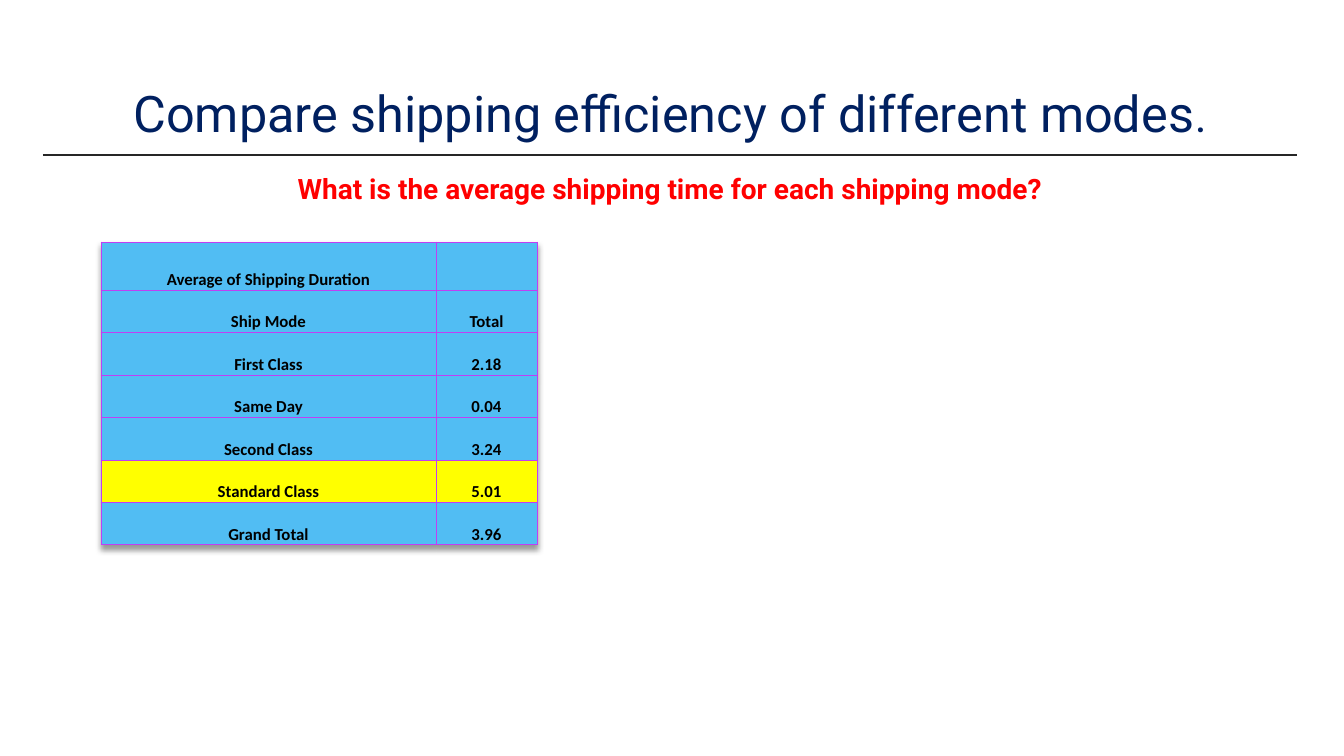
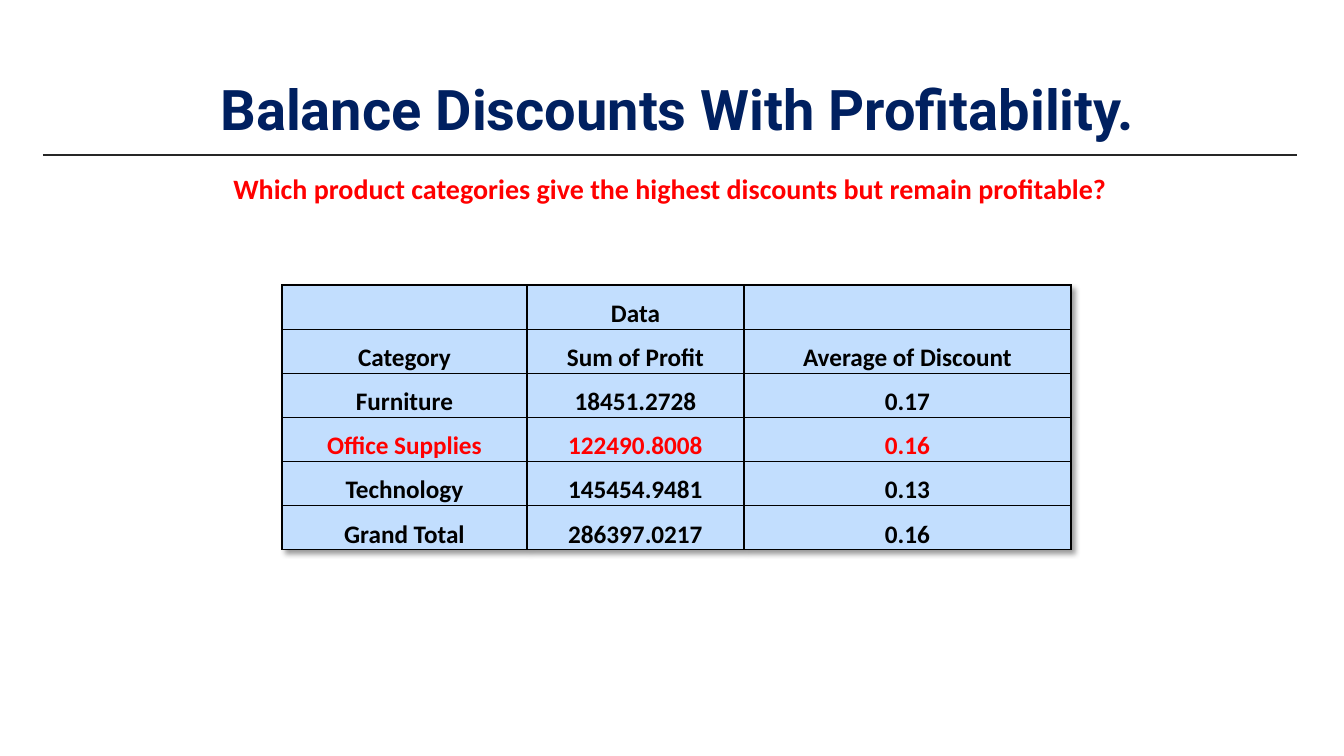
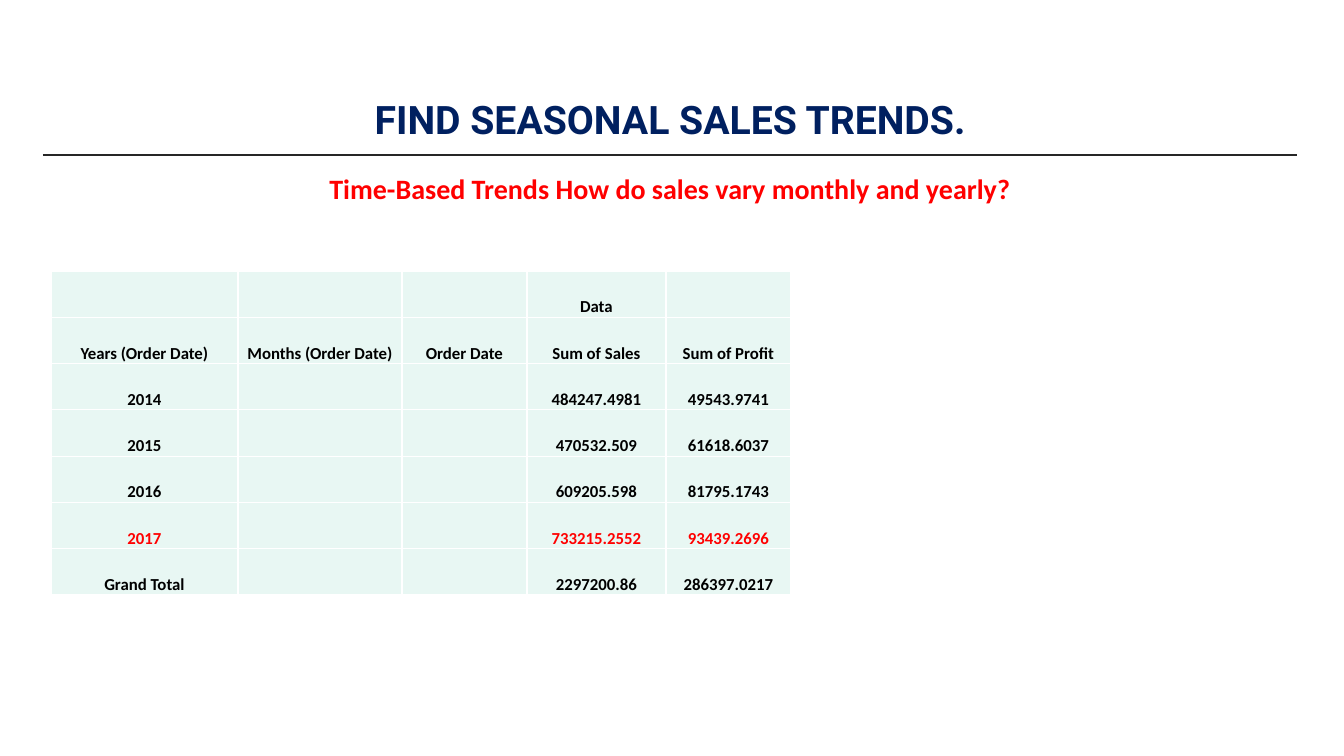
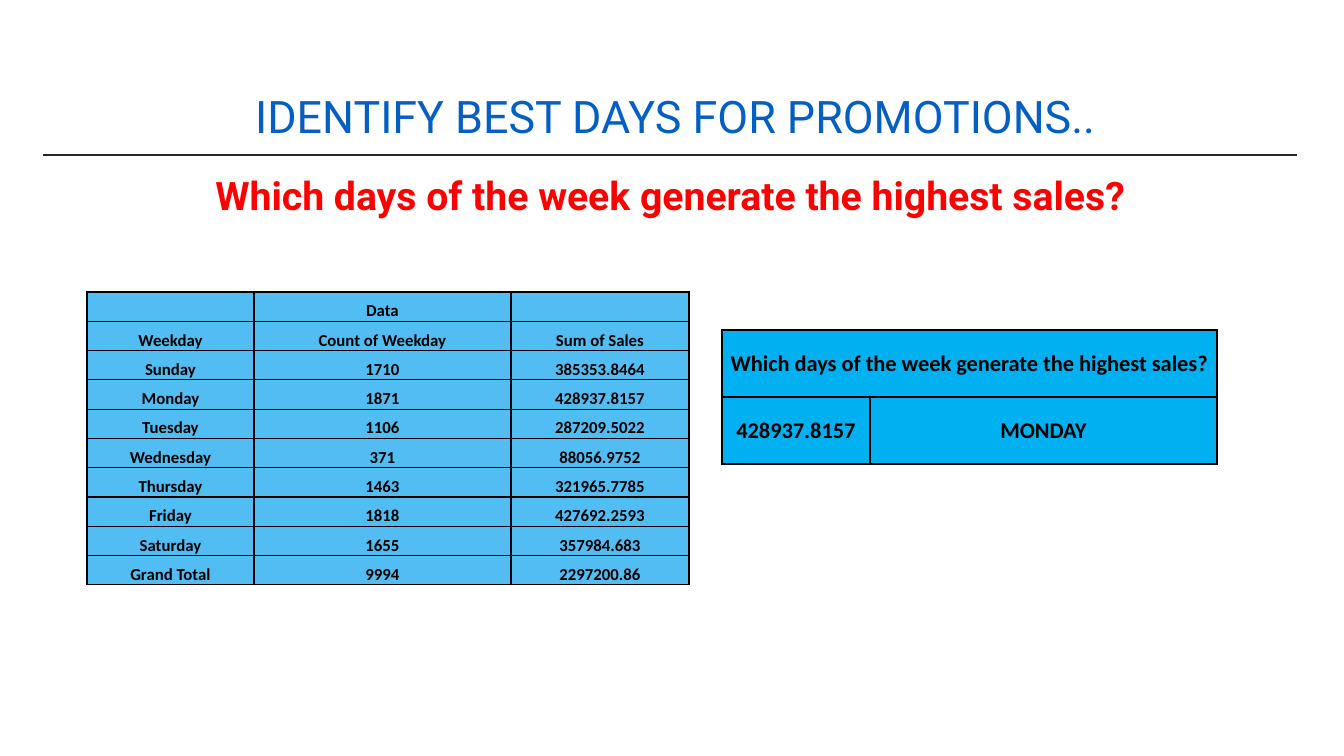
from lxml.etree import SubElement
from pptx import Presentation
from pptx.dml.color import RGBColor
from pptx.enum.shapes import MSO_CONNECTOR
from pptx.enum.text import MSO_ANCHOR, MSO_AUTO_SIZE, PP_ALIGN
from pptx.oxml import parse_xml
from pptx.oxml.ns import nsdecls, qn
from pptx.util import Emu, Pt

WIDE, HIGH = 1344, 756
NAVY, BLUE, RED, BLACK = "002060", "045FC4", "FF0000", "000000"
SKY, PALE, MINT, CYAN = "51BDF3", "C2DEFE", "E8F7F3", "00B0F0"
YELLOW, PURPLE, WHITE, DARK = "FFFF00", "C03EF4", "FFFFFF", "262626"
EDGE, SPAN = 43, 1254
TITLE = (EDGE, 37, SPAN, 111)
BODY = (EDGE, 166, SPAN, 534)


def px(num):
    """Turn pixels into EMU."""
    return Emu(round(num * 914400 / 100.8))


def hue(code):
    """Turn a hex string into a colour."""
    return RGBColor.from_string(code)


def put(par, text, size=12, font="Calibri", color=BLACK, bold=True):
    """Add a formatted run to a centred paragraph."""
    par.alignment = PP_ALIGN.CENTER
    run = par.add_run()
    run.text = text
    run.font.size, run.font.name, run.font.bold = Pt(size), font, bold
    run.font.color.rgb = hue(color)


def frame(holder, box, anchor):
    """Place a layout placeholder and set its insets."""
    holder.left, holder.top, holder.width, holder.height = map(px, box)
    text = holder.text_frame
    text.margin_left = text.margin_right = 0
    text.margin_top = text.margin_bottom = px(5)
    text.vertical_anchor = anchor
    text.word_wrap = True
    text.auto_size = MSO_AUTO_SIZE.NONE


def rule(slide, layout):
    """Draw the line under the title and hand it to the layout."""
    line = slide.shapes.add_connector(
        MSO_CONNECTOR.STRAIGHT, px(EDGE), px(155), px(EDGE + SPAN), px(155))
    line.line.color.rgb = hue(DARK)
    line.line.width = Pt(1)
    SubElement(line.element.spPr, qn("a:effectLst"))
    line.element.nvCxnSpPr.cNvPr.set("id", "20")
    layout.shapes.element.append(line.element)


def head(slide, title, ask):
    """Fill the title and the question below it."""
    par = slide.shapes.title.text_frame.paragraphs[0]
    par.line_spacing = 0.9
    for text, form in title:
        put(par, text, font="Roboto", **form)
    par = slide.placeholders[1].text_frame.paragraphs[0]
    par.space_before = Pt(10)
    text, form = ask
    put(par, text, color=RED, **form)
    props = par._p.get_or_add_pPr()
    props.set("marL", "0")
    props.set("indent", "0")
    SubElement(props, qn("a:buNone"))


def edge(cell, color, width):
    """Draw the four borders of a cell."""
    props = cell._tc.get_or_add_tcPr()
    for side in "LRTB":
        props.append(parse_xml(
            f'<a:ln{side} {nsdecls("a")} w="{Pt(width)}"><a:solidFill>'
            f'<a:srgbClr val="{color}"/></a:solidFill></a:ln{side}>'))


def shade(table, angle):
    """Cast a soft shadow from a table at an angle in degrees."""
    table._tbl.tblPr.insert(0, parse_xml(
        f'<a:effectLst {nsdecls("a")}><a:outerShdw blurRad="50800" '
        f'dist="38100" dir="{angle * 60000}" algn="t" rotWithShape="0">'
        '<a:srgbClr val="000000"><a:alpha val="40000"/></a:srgbClr>'
        '</a:outerShdw></a:effectLst>'))


def fill(cell, text, back, line, width, anchor, size, color):
    """Format one cell and write its text."""
    edge(cell, line, width)
    cell.fill.solid()
    cell.fill.fore_color.rgb = hue(back)
    cell.margin_left = cell.margin_right = cell.margin_top = px(1)
    cell.margin_bottom = 0
    cell.vertical_anchor = anchor
    par = cell.text_frame.paragraphs[0]
    if text:
        put(par, text, size=size, color=color)
    else:
        SubElement(par._p, qn("a:endParaRPr")).set("sz", str(size * 100))


def grid(slide, box, cols, rows, back, line=BLACK, width=1, size=12,
         first=None, mark=None, ink=BLACK, glow=None, angle=None,
         anchor=MSO_ANCHOR.BOTTOM, join=False):
    """Build a table in a box, with one row marked by ink or glow."""
    left, top, high = box
    count = len(rows)
    part = slide.shapes.add_table(
        count, len(cols), px(left), px(top), px(sum(cols)), px(high))
    table = part.table
    table.first_row = table.horz_banding = False
    for col, wide in zip(table.columns, cols):
        col.width = px(wide)
    first = first or high / count
    for num, row in enumerate(rows):
        table.rows[num].height = px((high - first) / (count - 1) if num else first)
        lit = num == mark
        for spot, text in enumerate(row):
            fill(table.cell(num, spot), text, glow if lit and glow else back,
                 line, width, anchor, size, ink if lit else BLACK)
    if join:
        table.cell(0, 0).merge(table.cell(0, len(cols) - 1))
    if angle is not None:
        shade(table, angle)


def modes(slide):
    """Shipping modes slide."""
    head(slide,
         [("Compare shipping efficiency of different modes",
           dict(size=36, color=NAVY, bold=False)),
          (".", dict(size=32, color=NAVY, bold=False))],
         ("What is the average shipping time for each shipping mode?",
          dict(size=20, font="Roboto")))
    grid(slide, (101, 242, 303), (335, 101), [
        ("Average of Shipping Duration", ""),
        ("Ship Mode", "Total"),
        ("First Class", "2.18"),
        ("Same Day", "0.04"),
        ("Second Class", "3.24"),
        ("Standard Class", "5.01"),
        ("Grand Total", "3.96"),
    ], SKY, line=PURPLE, width=0.5, first=48, mark=5, glow=YELLOW, angle=90)


def deals(slide):
    """Discounts slide."""
    head(slide,
         [(" Balance Discounts With Profitability.", dict(size=40, color=NAVY))],
         ("Which product categories give the highest discounts but remain profitable?",
          dict(size=20)))
    grid(slide, (282, 285, 265), (245, 217, 327), [
        ("", "Data", ""),
        ("Category", "Sum of Profit", "Average of Discount"),
        ("Furniture", "18451.2728", "0.17"),
        ("Office Supplies", "122490.8008", "0.16"),
        ("Technology", "145454.9481", "0.13"),
        ("Grand Total", "286397.0217", "0.16"),
    ], PALE, size=18, mark=3, ink=RED, angle=45)


def trends(slide):
    """Seasonal trends slide."""
    head(slide,
         [("FIND SEASONAL SALES TRENDS.", dict(size=28, color=NAVY))],
         ("Time-Based Trends How do sales vary monthly and yearly?",
          dict(size=20)))
    grid(slide, (51, 271, 324), (187, 164, 125, 139, 125), [
        ("", "", "", "Data", ""),
        ("Years (Order Date)", "Months (Order Date)", "Order Date",
         "Sum of Sales", "Sum of Profit"),
        ("2014", "", "", "484247.4981", "49543.9741"),
        ("2015", "", "", "470532.509", "61618.6037"),
        ("2016", "", "", "609205.598", "81795.1743"),
        ("2017", "", "", "733215.2552", "93439.2696"),
        ("Grand Total", "", "", "2297200.86", "286397.0217"),
    ], MINT, line=WHITE, mark=5, ink=RED)


def days(slide):
    """Best days slide."""
    ask = "Which days of the week generate the highest sales?"
    head(slide,
         [(" IDENTIFY BEST DAYS FOR PROMOTIONS..",
           dict(size=32, color=BLUE, bold=False))],
         (ask, dict(size=28, font="Roboto")))
    grid(slide, (87, 292, 293), (167, 257, 178), [
        ("", "Data", ""),
        ("Weekday", "Count of Weekday", "Sum of Sales"),
        ("Sunday", "1710", "385353.8464"),
        ("Monday", "1871", "428937.8157"),
        ("Tuesday", "1106", "287209.5022"),
        ("Wednesday", "371", "88056.9752"),
        ("Thursday", "1463", "321965.7785"),
        ("Friday", "1818", "427692.2593"),
        ("Saturday", "1655", "357984.683"),
        ("Grand Total", "9994", "2297200.86"),
    ], SKY)
    grid(slide, (722, 330, 134), (148, 347),
         [(ask, ""), ("428937.8157", "MONDAY")],
         CYAN, size=16, anchor=MSO_ANCHOR.MIDDLE, join=True)


def main():
    """Build and save the deck."""
    deck = Presentation()
    deck.slide_width, deck.slide_height = px(WIDE), px(HIGH)
    layout = deck.slide_layouts[1]
    frame(layout.placeholders[0], TITLE, MSO_ANCHOR.BOTTOM)
    frame(layout.placeholders[1], BODY, MSO_ANCHOR.TOP)
    for page in (modes, deals, trends, days):
        page(deck.slides.add_slide(layout))
    rule(deck.slides[0], layout)
    deck.save("out.pptx")


if __name__ == "__main__":
    main()
